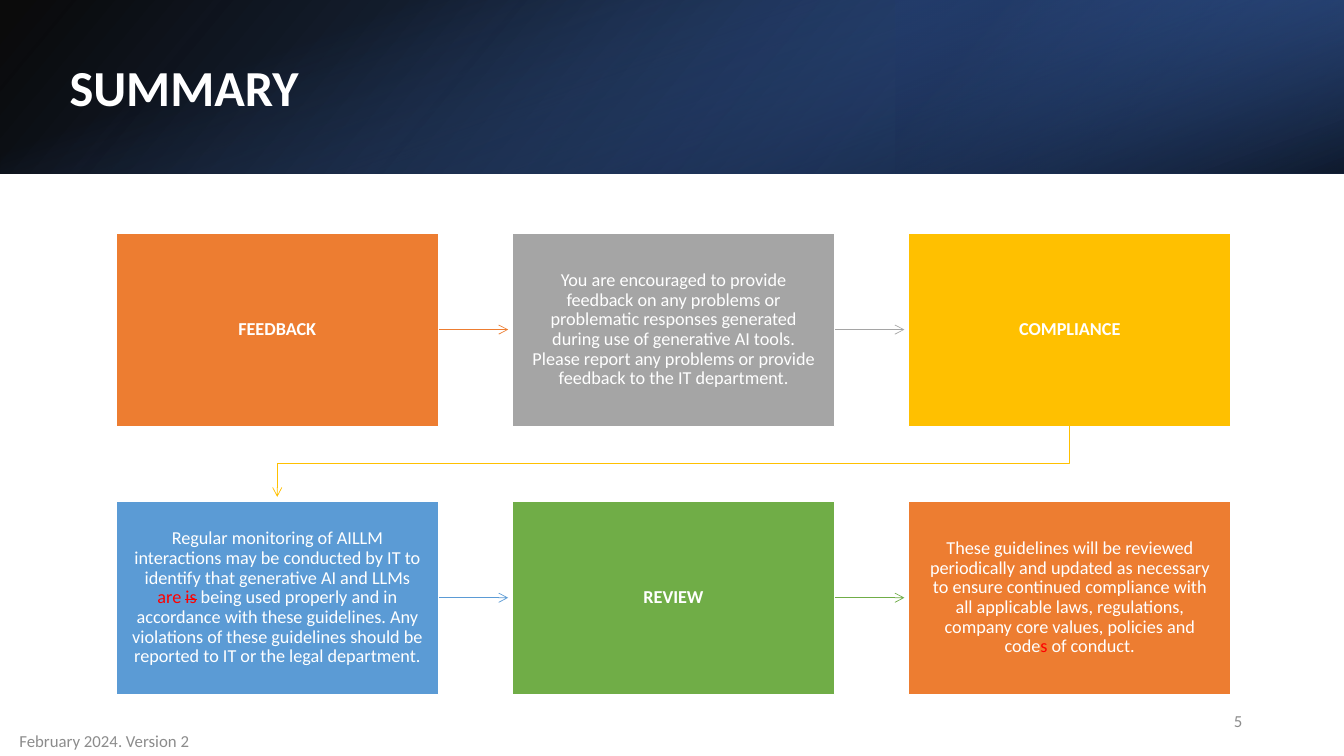
from lxml.etree import SubElement
from pptx import Presentation
from pptx.dml.color import RGBColor
from pptx.enum.shapes import MSO_CONNECTOR, MSO_SHAPE
from pptx.enum.text import MSO_ANCHOR, MSO_AUTO_SIZE, PP_ALIGN
from pptx.oxml import parse_xml
from pptx.oxml.ns import nsdecls, qn
from pptx.util import Inches, Pt

FONT = "Calibri"
WHITE = RGBColor(0xFF, 0xFF, 0xFF)
BLACK = RGBColor(0x00, 0x00, 0x00)
RED = RGBColor(0xFF, 0x00, 0x00)
FOOTER_GRAY = RGBColor(0x8C, 0x8C, 0x8C)
ORANGE = RGBColor(0xED, 0x7D, 0x31)
GRAY = RGBColor(0xA5, 0xA5, 0xA5)
GOLD = RGBColor(0xFF, 0xC0, 0x00)
BLUE = RGBColor(0x5B, 0x9B, 0xD5)
GREEN = RGBColor(0x70, 0xAD, 0x47)
ROYAL = RGBColor(0x44, 0x72, 0xC4)
DEEP_BLUE = RGBColor(0x2F, 0x55, 0x97)
NAVY = RGBColor(0x20, 0x38, 0x64)

SLIDE_WIDTH, SLIDE_HEIGHT, BANNER_HEIGHT = 13.33, 7.5, 1.72
CARD_WIDTH, CARD_HEIGHT, COLUMN_PITCH, ROW_PITCH = 3.2, 1.92, 3.93, 2.66
ARROW_GAP = 0.04

ROWS = [
    [
        (ORANGE, True, [("FEEDBACK", WHITE, False)]),
        (GRAY, False, [(
            "You are encouraged to provide feedback on any problems or problematic "
            "responses generated during use of generative AI tools. Please report any "
            "problems or provide feedback to the IT department.", WHITE, False)]),
        (GOLD, True, [("COMPLIANCE", WHITE, False)]),
    ],
    [
        (BLUE, False, [
            ("Regular monitoring of AILLM interactions may be conducted by IT to "
             "identify that generative AI and LLMs ", WHITE, False),
            ("are ", RED, False),
            ("is", RED, True),
            (" being used properly and in accordance with these guidelines. Any "
             "violations of these guidelines should be reported to IT or the legal "
             "department.", WHITE, False)]),
        (GREEN, True, [("REVIEW", WHITE, False)]),
        (ORANGE, False, [
            ("These guidelines will be reviewed periodically and updated as necessary "
             "to ensure continued compliance with all applicable laws, regulations, "
             "company core values, policies and code", WHITE, False),
            ("s", RED, False),
            (" of conduct.", WHITE, False)]),
    ],
]


def style_font(font, size, color, bold=False):
    """Set the family, size, colour and weight of a font."""
    font.name, font.size, font.bold = FONT, Pt(size), bold
    font.color.rgb = color


def add_gradient_panel(page, box, stops, angle, rotation=0, flip=False):
    """Add a borderless rectangle with a partly transparent gradient."""
    panel = page.shapes.add_shape(MSO_SHAPE.RECTANGLE, *map(Inches, box))
    panel.shadow.inherit = False
    panel.line.fill.background()
    panel.rotation = rotation
    properties = panel._element.spPr
    if flip:
        properties.find(qn("a:xfrm")).set("flipH", "1")
    stop_xml = "".join(
        f'<a:gs pos="{position * 1000}"><a:srgbClr val="{color}">'
        f'<a:alpha val="{opacity * 1000}"/></a:srgbClr></a:gs>'
        for position, color, opacity in stops)
    gradient = parse_xml(
        f'<a:gradFill {nsdecls("a")} rotWithShape="1"><a:gsLst>{stop_xml}</a:gsLst>'
        f'<a:lin ang="{angle * 60000}" scaled="0"/></a:gradFill>')
    properties.find(qn("a:prstGeom")).addnext(gradient)


def add_banner(page, left, top, width, height):
    """Layer the gradients of the banner and set the title on them."""
    add_gradient_panel(page, (left, top, width, height),
                       [(0, BLACK, 96), (100, DEEP_BLUE, 100)], 140, flip=True)
    third = width / 3
    add_gradient_panel(page, (left + width - third, top, third, height),
                       [(19, NAVY, 68), (100, ROYAL, 79)], 320, rotation=180, flip=True)
    shift = (width - height) / 2
    add_gradient_panel(page, (left + shift, top - shift, height, width),
                       [(23, ROYAL, 0), (99, BLACK, 74)], 340, rotation=90)

    title = page.shapes.title
    page.shapes._spTree.append(title._element)
    title.left, title.top = Inches(left + 0.59), Inches(top + 0.51)
    title.width, title.height = Inches(2.5), Inches(0.71)
    frame = title.text_frame
    frame.text = "SUMMARY"
    frame.word_wrap = False
    frame.auto_size = MSO_AUTO_SIZE.NONE
    frame.vertical_anchor = MSO_ANCHOR.TOP
    para = frame.paragraphs[0]
    para.alignment = PP_ALIGN.LEFT
    style_font(para.runs[0].font, 36, WHITE, True)


def add_card(page, left, top, color, bold, spans):
    """Add one filled card with its centred text."""
    card = page.shapes.add_shape(MSO_SHAPE.RECTANGLE, Inches(left), Inches(top),
                                 Inches(CARD_WIDTH), Inches(CARD_HEIGHT))
    card.shadow.inherit = False
    card.fill.solid()
    card.fill.fore_color.rgb = color
    card.line.color.rgb = WHITE
    card.line.width = Pt(1)
    frame = card.text_frame
    frame.word_wrap = True
    frame.vertical_anchor = MSO_ANCHOR.MIDDLE
    frame.margin_left = frame.margin_right = Inches(0.16)
    frame.margin_top = frame.margin_bottom = Inches(0.16)
    para = frame.paragraphs[0]
    para.alignment = PP_ALIGN.CENTER
    para.line_spacing = 0.9
    for text, text_color, struck in spans:
        span = para.add_run()
        span.text = text
        style_font(span.font, 13, text_color, bold)
        if struck:
            span.font._element.set("strike", "sngStrike")
    return card


def style_arrow(arrow, color):
    """Give a line its colour, thin width and open arrowhead."""
    arrow.line.color.rgb = color
    arrow.line.width = Pt(0.5)
    SubElement(arrow.line._get_or_add_ln(), qn("a:tailEnd"), type="arrow")


def add_side_arrow(page, card, color):
    """Point from the right side of a card towards the next one."""
    start = card.left + card.width
    middle = card.top + card.height // 2
    end = card.left + Inches(COLUMN_PITCH - ARROW_GAP)
    arrow = page.shapes.add_connector(MSO_CONNECTOR.STRAIGHT, start, middle, end, middle)
    arrow.begin_connect(card, 3)
    style_arrow(arrow, color)
    SubElement(arrow._element.spPr, qn("a:effectLst"))


def add_return_arrow(page, source, target, color):
    """Lead from the bottom of one card to the top of the next row."""
    start_x = source.left + source.width // 2
    start_y = source.top + source.height
    end_x = target.left + target.width // 2
    bend_y = (start_y + target.top) // 2
    builder = page.shapes.build_freeform(start_x, start_y)
    builder.add_line_segments(
        [(start_x, bend_y), (end_x, bend_y), (end_x, target.top - Inches(ARROW_GAP))],
        close=False)
    arrow = builder.convert_to_shape()
    arrow.shadow.inherit = False
    arrow.fill.background()
    style_arrow(arrow, color)


def add_process(page, left, top):
    """Lay out the rows of cards and the arrows between them."""
    grid = [[add_card(page, left + column * COLUMN_PITCH, top + row * ROW_PITCH, *content)
             for column, content in enumerate(contents)]
            for row, contents in enumerate(ROWS)]
    for cards, contents in zip(grid, ROWS):
        for card, content in zip(cards[:-1], contents):
            add_side_arrow(page, card, content[0])
    add_return_arrow(page, grid[0][-1], grid[1][0], GOLD)


def add_footer_text(page, box, text, alignment):
    """Add one small gray line at the foot of the slide."""
    frame = page.shapes.add_textbox(*map(Inches, box)).text_frame
    frame.text = text
    frame.word_wrap = True
    frame.vertical_anchor = MSO_ANCHOR.MIDDLE
    para = frame.paragraphs[0]
    para.alignment = alignment
    style_font(para.runs[0].font, 12, FOOTER_GRAY)


def main():
    """Build the summary slide and save the deck."""
    deck = Presentation()
    deck.slide_width, deck.slide_height = Inches(SLIDE_WIDTH), Inches(SLIDE_HEIGHT)
    page = deck.slides.add_slide(deck.slide_layouts[5])
    add_banner(page, 0, 0, SLIDE_WIDTH, BANNER_HEIGHT)
    add_process(page, 1.15, 2.31)
    add_footer_text(page, (0, 7.21, 2.07, 0.28), "February 2024. Version 2", PP_ALIGN.CENTER)
    add_footer_text(page, (9.42, 6.95, 3, 0.4), "5", PP_ALIGN.RIGHT)
    deck.save("out.pptx")


if __name__ == "__main__":
    main()
